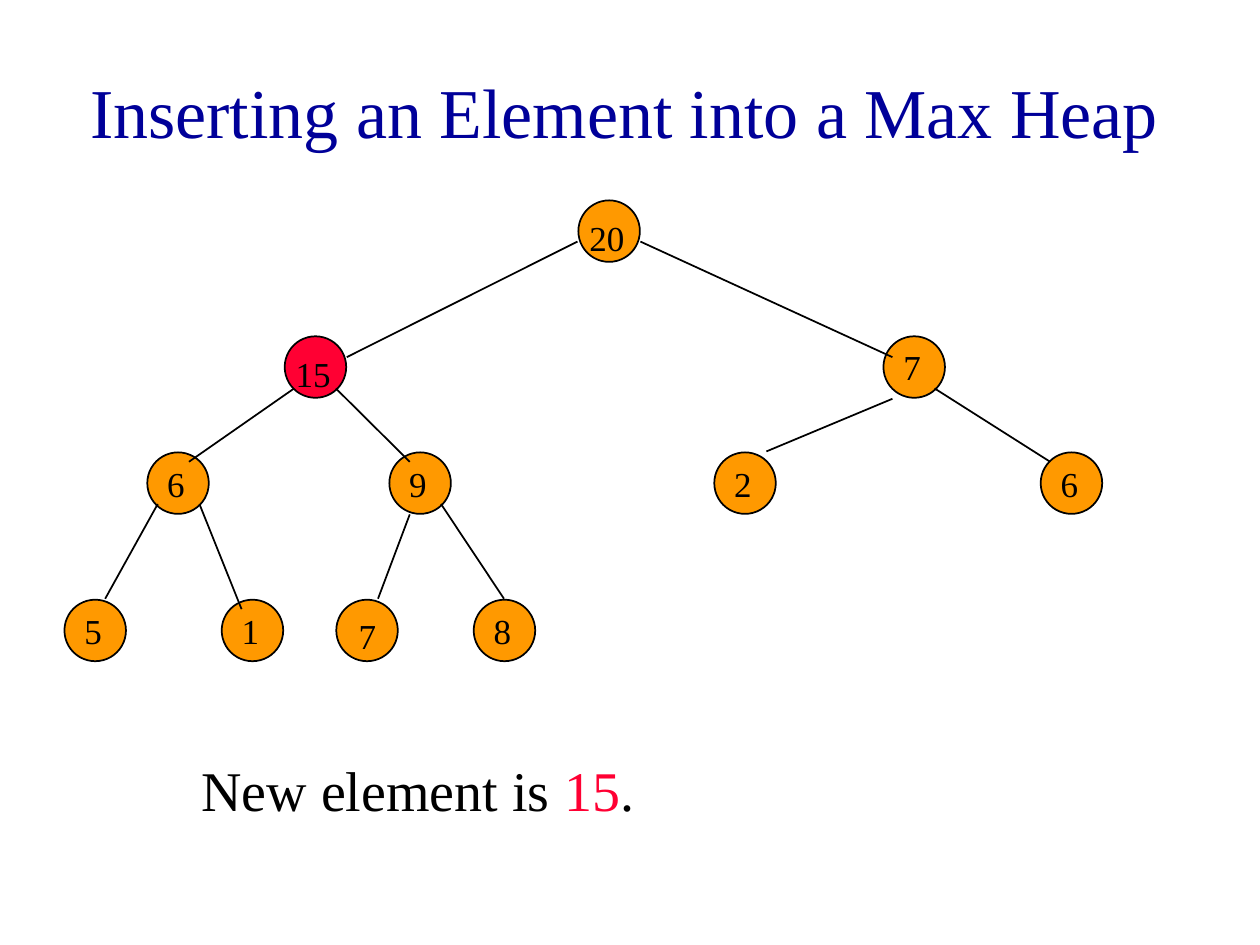
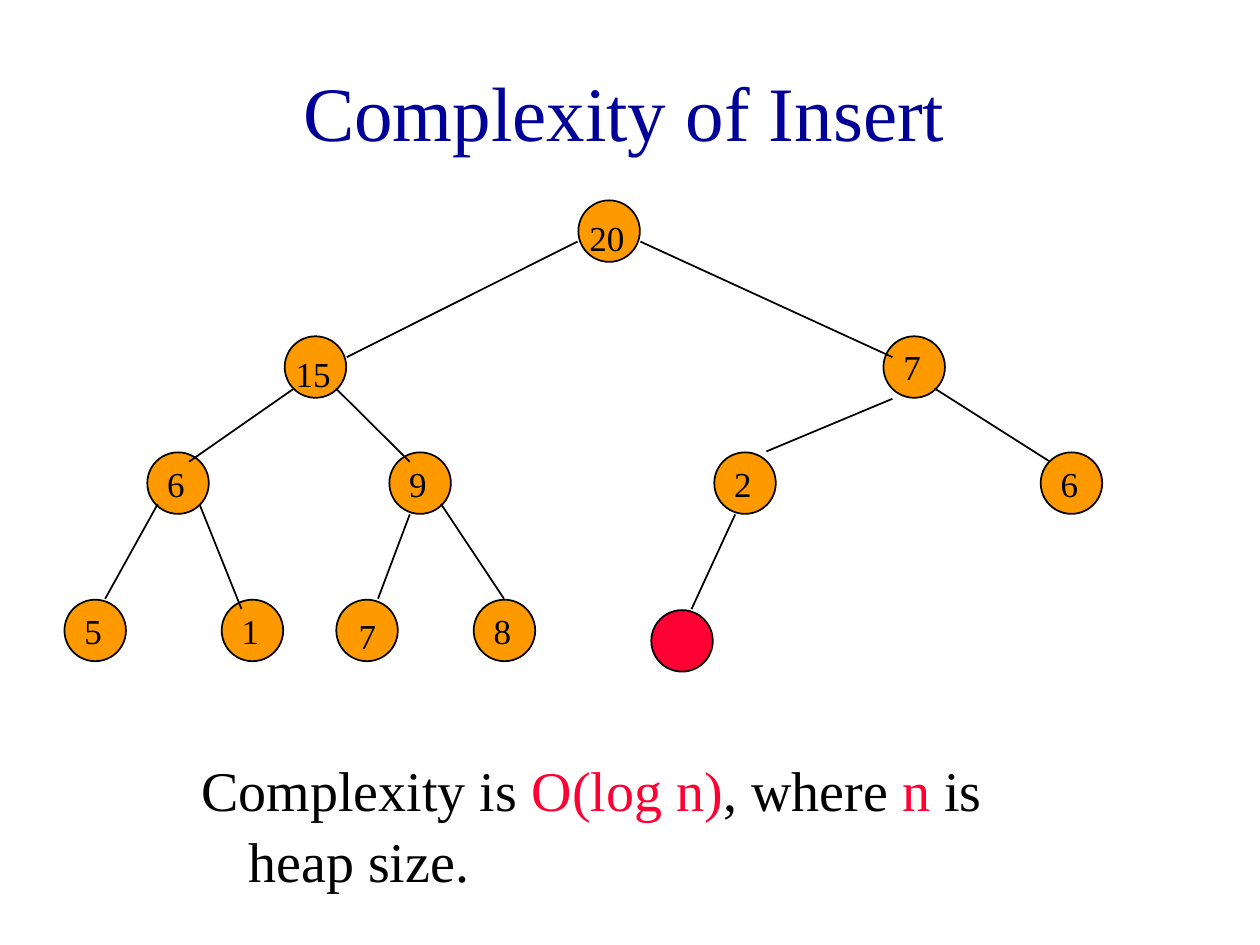
from lxml import etree
from pptx import Presentation
from pptx.dml.color import RGBColor
from pptx.enum.shapes import MSO_CONNECTOR, MSO_SHAPE
from pptx.enum.text import MSO_ANCHOR, MSO_AUTO_SIZE, PP_ALIGN
from pptx.oxml.ns import qn
from pptx.util import Cm, Pt

OVAL = MSO_SHAPE.OVAL
LINE = MSO_CONNECTOR.STRAIGHT
MIDDLE = MSO_ANCHOR.MIDDLE
FIXED = MSO_AUTO_SIZE.NONE
LEFT, CENTER = PP_ALIGN.LEFT, PP_ALIGN.CENTER

FONT = "Times New Roman"
BLACK, NAVY, ORANGE, RED = "000000", "000099", "FF9900", "FF0033"

TITLE = (0.2, 0.64, 24.77, 3.18)
TREE = (1.3, 4.04)
NOTE = (3.81, 15.04, 17.78, 0.64)
SIZE = 1.24
ROWS = (0, 2.74, 5.08, 8.05)

NEAR, WIDE, LOW = (0.15, 0.07, 0.86), (-0.03, 0.2, 2.2), (0.2, 0.18, 0.86)
NODES = [
    ("20", 10.36, 0, WIDE),
    ("15", 4.44, 1, WIDE), ("7", 16.51, 1, NEAR),
    ("6", 1.67, 2, NEAR), ("9", 6.55, 2, NEAR),
    ("2", 13.1, 2, NEAR), ("6", 19.68, 2, NEAR),
    ("5", 0, 3, NEAR), ("1", 3.17, 3, NEAR),
    ("7", 5.48, 3, LOW), ("8", 8.25, 3, NEAR),
]
EDGES = [
    (10.34, 0.83, 5.69, 3.16), (11.61, 0.83, 16.69, 3.16),
    (4.63, 3.79, 2.51, 5.27), (5.47, 3.79, 6.96, 5.27),
    (16.69, 4, 14.15, 5.06), (17.54, 3.79, 19.87, 5.27),
    (1.88, 6.12, 0.82, 8.03), (2.72, 6.12, 3.57, 8.24),
    (6.96, 6.33, 6.32, 8.03), (7.59, 6.12, 8.86, 8.03),
]
NEW_NODE = (11.83, 8.26)
NEW_EDGE = (13.52, 6.33, 12.64, 8.24)


def tint(code):
    return RGBColor.from_string(code)


def write(frame, text, size=20, color=BLACK, align=LEFT, wrap=True,
          hang=0, space=None):
    parts = [(text, color)] if isinstance(text, str) else text
    frame.word_wrap = wrap
    frame.auto_size = FIXED
    para = frame.paragraphs[0]
    para.alignment = align
    para.line_spacing = space
    if hang:
        props = para._p.get_or_add_pPr()
        props.set("marL", str(Cm(hang)))
        props.set("indent", str(-Cm(hang)))
    for words, shade in parts:
        run = para.add_run()
        run.text = words
        run.font.name = FONT
        run.font.size = Pt(size)
        run.font.color.rgb = tint(shade)


def add_title(slide, box, text, size):
    title = slide.shapes.title
    title.left, title.top, title.width, title.height = map(Cm, box)
    title.text_frame.vertical_anchor = MIDDLE
    write(title.text_frame, text, size=size, color=NAVY, align=CENTER)


def add_note(slide, box, parts):
    note = slide.shapes.add_textbox(*map(Cm, box))
    write(note.text_frame, parts, size=32, hang=0.95, space=1.05)


def add_node(slide, left, top, color):
    node = slide.shapes.add_shape(OVAL, Cm(left), Cm(top), Cm(SIZE), Cm(SIZE))
    node.shadow.inherit = False
    node.fill.solid()
    node.fill.fore_color.rgb = tint(color)
    node.line.color.rgb = tint(BLACK)
    node.line.width = Pt(1)


def add_edge(slide, left, top, ends):
    x1, y1, x2, y2 = ends
    edge = slide.shapes.add_connector(
        LINE, Cm(left + x1), Cm(top + y1), Cm(left + x2), Cm(top + y2))
    edge.line.color.rgb = tint(BLACK)
    edge.line.width = Pt(1)
    etree.SubElement(edge._element.spPr, qn("a:effectLst"))


def add_tree(slide, box, hot=None, grow=False):
    left, top = box
    for key, x, row, _ in NODES:
        add_node(slide, left + x, top + ROWS[row], RED if key == hot else ORANGE)
    if grow:
        x, y = NEW_NODE
        add_node(slide, left + x, top + y, RED)
    for ends in EDGES + ([NEW_EDGE] if grow else []):
        add_edge(slide, left, top, ends)
    for key, x, row, (dx, dy, width) in NODES:
        label = slide.shapes.add_textbox(
            Cm(left + x + dx), Cm(top + ROWS[row] + dy), Cm(width), Cm(1.1))
        write(label.text_frame, key, wrap=False)


def add_slide(deck, title, size, note, **marks):
    slide = deck.slides.add_slide(deck.slide_layouts[5])
    add_title(slide, TITLE, title, size)
    add_tree(slide, TREE, **marks)
    add_note(slide, NOTE, note)


def main():
    deck = Presentation()
    deck.slide_width, deck.slide_height = Cm(25.4), Cm(19.05)
    add_slide(deck, "Inserting an Element into a Max Heap", 40,
              [("New element is ", BLACK), ("15", RED), (".", BLACK)],
              hot="15")
    add_slide(deck, "Complexity of Insert", 44,
              [("Complexity is ", BLACK), ("O(log n)", RED),
               (", where ", BLACK), ("n ", RED), ("is heap size.", BLACK)],
              grow=True)
    deck.save("out.pptx")


if __name__ == "__main__":
    main()
